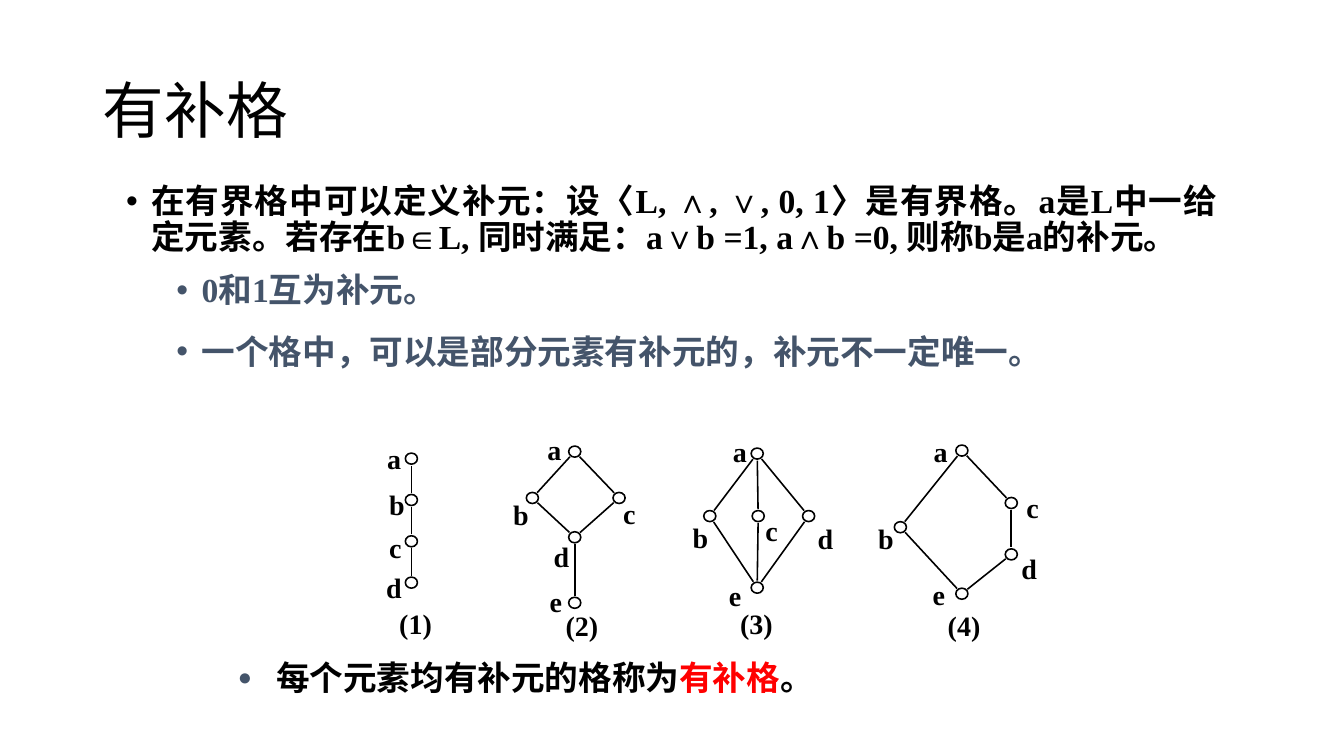
"""Build the slide on complemented lattices with four Hasse diagrams."""
import math

from lxml import etree
from pptx import Presentation
from pptx import util as u
from pptx.dml.color import RGBColor
from pptx.enum import shapes, text
from pptx.oxml.ns import qn

COLOURS = {"ink": "000000", "slate": "44546A", "red": "FF0000", "paper": "FFFFFF"}
BOLD = {"name": "Times New Roman", "size": u.Pt(24), "bold": True}
LABEL = {"name": "Times New Roman", "size": u.Pt(20), "bold": True}
TITLE = {"name": "Calibri", "size": u.Pt(44), "bold": False}
NODE_WIDTH, NODE_HEIGHT, EDGE_GAP = 0.12, 0.11, 0.07
LABEL_WIDTHS = {"a": 0.14, "b": 0.16, "c": 0.12, "d": 0.16, "e": 0.12}

LATTICES = [
    {
        "caption": ("(1)", 3.96, 6.02),
        "nodes": {"a": (4.08, 4.55), "b": (4.08, 4.96), "c": (4.08, 5.37), "d": (4.08, 5.78)},
        "labels": {"a": (3.84, 4.38), "b": (3.86, 4.84), "c": (3.86, 5.26), "d": (3.83, 5.66)},
        "edges": "ab bc cd",
    },
    {
        "caption": ("(2)", 5.61, 6.04),
        "nodes": {"a": (5.7, 4.48), "b": (5.28, 4.94), "c": (6.14, 4.94),
                  "d": (5.7, 5.33), "e": (5.7, 5.98)},
        "labels": {"a": (5.43, 4.29), "b": (5.09, 4.94), "c": (6.18, 4.93),
                   "d": (5.49, 5.35), "e": (5.45, 5.8)},
        "edges": "ab ac bd cd de",
    },
    {
        "caption": ("(3)", 7.34, 6.02),
        "nodes": {"a": (7.51, 4.5), "b": (7.04, 5.12), "c": (7.52, 5.12),
                  "d": (8.02, 5.12), "e": (7.51, 5.83)},
        "labels": {"a": (7.27, 4.31), "b": (6.87, 5.16), "c": (7.59, 5.09),
                   "d": (8.11, 5.17), "e": (7.23, 5.74)},
        "edges": "ab ac ad be ce de",
    },
    {
        "caption": ("(4)", 9.4, 6.04),
        "nodes": {"a": (9.54, 4.47), "b": (8.93, 5.23), "c": (10.03, 4.99),
                  "d": (10.03, 5.5), "e": (9.54, 5.89)},
        "labels": {"a": (9.26, 4.31), "b": (8.71, 5.17), "c": (10.18, 4.87),
                   "d": (10.13, 5.47), "e": (9.25, 5.73)},
        "edges": "ab be ac cd de",
    },
]


def apply(target, values):
    """Set every attribute in values on the target."""
    for name, value in values.items():
        setattr(target, name, value)


def colour(key):
    """Return the named colour."""
    return RGBColor.from_string(COLOURS[key])


def place(shape, left, top, width, height):
    """Move and size a shape in inches."""
    apply(shape, {"left": u.Inches(left), "top": u.Inches(top),
                  "width": u.Inches(width), "height": u.Inches(height)})


def add_run(paragraph, words, font, key="ink"):
    """Append formatted words to a paragraph."""
    run = paragraph.add_run()
    run.text = words
    apply(run.font, font)
    run.font.color.rgb = colour(key)


def set_bullet(paragraph, mark, margin, hanging, key=None, percent=None):
    """Give a paragraph a hanging bullet."""
    properties = paragraph._p.get_or_add_pPr()
    properties.set("marL", str(u.Inches(margin)))
    properties.set("indent", str(-u.Inches(hanging)))
    if key:
        holder = etree.SubElement(properties, qn("a:buClr"))
        etree.SubElement(holder, qn("a:srgbClr"), val=COLOURS[key])
    if percent:
        etree.SubElement(properties, qn("a:buSzPct"), val=str(percent * 1000))
    etree.SubElement(properties, qn("a:buFont"), typeface="Arial")
    etree.SubElement(properties, qn("a:buChar"), char=mark)


def fill_title(slide):
    """Write the slide title."""
    title = slide.shapes.title
    place(title, 0.92, 0.4, 11.5, 1.45)
    apply(title.text_frame, {"vertical_anchor": text.MSO_ANCHOR.MIDDLE,
                             "auto_size": text.MSO_AUTO_SIZE.NONE})
    paragraph = title.text_frame.paragraphs[0]
    apply(paragraph, {"alignment": text.PP_ALIGN.LEFT, "line_spacing": 0.9})
    add_run(paragraph, "有补格", TITLE)


def fill_body(slide):
    """Write the definition and its two remarks."""
    body = slide.placeholders[1]
    place(body, 1.15, 1.78, 11.02, 2.28)
    frame = body.text_frame
    frame.auto_size = text.MSO_AUTO_SIZE.NONE
    items = [
        ("在有界格中可以定义补元：设〈L, ∧, ∨, 0, 1〉是有界格。a是L中一给定元素。"
         "若存在b∈L, 同时满足：a∨b =1, a∧b =0, 则称b是a的补元。", 0, 0, 6, "ink"),
        ("0和1互为补元。", 1, 6, 6, "slate"),
        ("一个格中，可以是部分元素有补元的，补元不一定唯一。", 1, 12, 0, "slate"),
    ]
    for index, (words, level, before, after, key) in enumerate(items):
        paragraph = frame.add_paragraph() if index else frame.paragraphs[0]
        set_bullet(paragraph, "•", 0.25 + 0.5 * level, 0.25)
        apply(paragraph, {"level": level, "alignment": text.PP_ALIGN.JUSTIFY,
                          "line_spacing": 0.9, "space_before": u.Pt(before),
                          "space_after": u.Pt(after)})
        add_run(paragraph, words, BOLD, key)


def add_conclusion(slide):
    """Write the closing definition with its red term."""
    box = slide.shapes.add_textbox(u.Inches(2.26), u.Inches(6.51), u.Inches(8.75), u.Inches(0.79))
    box.text_frame.word_wrap = True
    paragraph = box.text_frame.paragraphs[0]
    set_bullet(paragraph, "●", 0.38, 0.38, "slate", 70)
    apply(paragraph, {"alignment": text.PP_ALIGN.JUSTIFY, "line_spacing": 0.9})
    for words, key in [("每个元素均有补元的格称为", "ink"), ("有补格", "red"), ("。", "ink")]:
        add_run(paragraph, words, BOLD, key)


def add_label(slide, words, left, top, width):
    """Write a label without margins."""
    box = slide.shapes.add_textbox(u.Inches(left), u.Inches(top), u.Inches(width), u.Inches(0.34))
    apply(box.text_frame, {"margin_left": 0, "margin_right": 0, "margin_top": 0,
                           "margin_bottom": 0, "word_wrap": False,
                           "auto_size": text.MSO_AUTO_SIZE.SHAPE_TO_FIT_TEXT})
    add_run(box.text_frame.paragraphs[0], words, LABEL)


def outline(line):
    """Draw a line in the diagram stroke."""
    line.color.rgb = colour("ink")
    line.width = u.Pt(1.13)


def add_edge(slide, start, end):
    """Join two nodes, stopping short of their centres."""
    across, down = end[0] - start[0], end[1] - start[1]
    share = EDGE_GAP / math.hypot(across, down)
    points = [start[0] + across * share, start[1] + down * share,
              end[0] - across * share, end[1] - down * share]
    edge = slide.shapes.add_connector(shapes.MSO_CONNECTOR.STRAIGHT, *map(u.Inches, points))
    outline(edge.line)
    etree.SubElement(edge._element.spPr, qn("a:effectLst"))


def add_node(slide, centre):
    """Draw a node circle around its centre."""
    node = slide.shapes.add_shape(
        shapes.MSO_SHAPE.OVAL, u.Inches(centre[0] - NODE_WIDTH / 2),
        u.Inches(centre[1] - NODE_HEIGHT / 2), u.Inches(NODE_WIDTH), u.Inches(NODE_HEIGHT))
    node.shadow.inherit = False
    node.fill.solid()
    node.fill.fore_color.rgb = colour("paper")
    outline(node.line)


def add_lattice(slide, lattice):
    """Draw one Hasse diagram with its labels and caption."""
    nodes = lattice["nodes"]
    for start, end in lattice["edges"].split():
        add_edge(slide, nodes[start], nodes[end])
    for centre in nodes.values():
        add_node(slide, centre)
    for name, (left, top) in lattice["labels"].items():
        add_label(slide, name, left, top, LABEL_WIDTHS[name])
    add_label(slide, *lattice["caption"], 0.33)


def main():
    """Build and save the presentation."""
    presentation = Presentation()
    apply(presentation, {"slide_width": u.Inches(13.33), "slide_height": u.Inches(7.5)})
    slide = presentation.slides.add_slide(presentation.slide_layouts[1])
    fill_title(slide)
    fill_body(slide)
    add_conclusion(slide)
    for lattice in LATTICES:
        add_lattice(slide, lattice)
    presentation.save("out.pptx")


if __name__ == "__main__":
    main()
